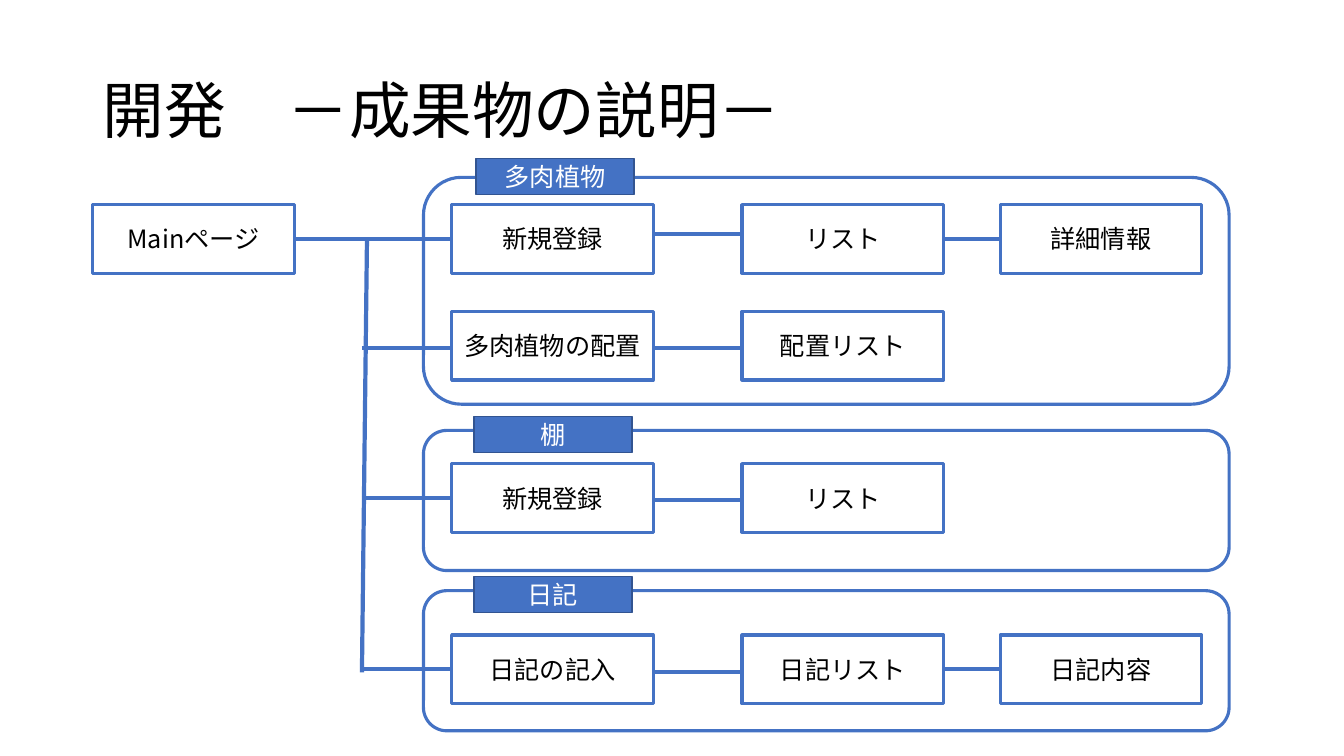
import pptx
import pptx.util
import pptx.dml.color
import pptx.enum.shapes
import pptx.enum.text
import pptx.oxml.ns
import lxml.etree

RGB = pptx.dml.color.RGBColor
SHAPE = pptx.enum.shapes.MSO_SHAPE
ALIGN = pptx.enum.text.PP_ALIGN
BLACK = RGB(0x00, 0x00, 0x00)
WHITE = RGB(0xFF, 0xFF, 0xFF)
BLUE = RGB(0x44, 0x72, 0xC4)
NAVY = RGB(0x32, 0x54, 0x91)
LEFT, RIGHT = 1, 3


def px(n):
    """Turn px (100 to the inch) into EMU."""
    return pptx.util.Emu(n * 9144)


class Diagram:
    font = "Noto Sans CJK JP"
    text_size = 18
    box_w, box_h = 200, 68
    tag_w, tag_h = 157, 36

    def __init__(self, slide):
        self.shapes = slide.shapes

    def set_text(self, sp, text, size, color, align):
        tf = sp.text_frame
        for name, value in {"word_wrap": True,
                            "vertical_anchor": pptx.enum.text.MSO_ANCHOR.MIDDLE}.items():
            setattr(tf, name, value)
        p = tf.paragraphs[0]
        p.alignment = align
        r = p.add_run()
        r.text = text
        for name, value in {"name": self.font, "size": pptx.util.Pt(size)}.items():
            setattr(r.font, name, value)
        r.font.color.rgb = color
        ea = lxml.etree.SubElement(r.font._element, pptx.oxml.ns.qn("a:ea"))
        ea.set("typeface", self.font)
        return p

    def title(self, text, x, y, w, h):
        sp = self.shapes.add_textbox(px(x), px(y), px(w), px(h))
        p = self.set_text(sp, text, 44, BLACK, ALIGN.LEFT)
        p.line_spacing = 0.9

    def shape(self, kind, x, y, w, h, fill=WHITE, line=BLUE, width=2.25):
        sp = self.shapes.add_shape(kind, px(x), px(y), px(w), px(h))
        sp.shadow.inherit = False
        sp.fill.solid()
        sp.fill.fore_color.rgb = fill
        sp.line.color.rgb = line
        sp.line.width = pptx.util.Pt(width)
        return sp

    def frame(self, x, y, w, h):
        self.shape(SHAPE.ROUNDED_RECTANGLE, x, y, w, h)

    def box(self, text, x, y):
        sp = self.shape(SHAPE.RECTANGLE, x, y, self.box_w, self.box_h)
        self.set_text(sp, text, self.text_size, BLACK, ALIGN.CENTER)
        return sp

    def tag(self, text, x, y):
        sp = self.shape(SHAPE.RECTANGLE, x, y, self.tag_w, self.tag_h, BLUE, NAVY, 1)
        self.set_text(sp, text, self.text_size, WHITE, ALIGN.CENTER)

    def line(self, x1, y1, x2, y2, begin=None, end=None):
        """Draw a line, joined to the right of begin and the left of end if given."""
        c = self.shapes.add_connector(pptx.enum.shapes.MSO_CONNECTOR.STRAIGHT,
                                      px(x1), px(y1), px(x2), px(y2))
        c.line.color.rgb = BLUE
        c.line.width = pptx.util.Pt(3)
        lxml.etree.SubElement(c._element.spPr, pptx.oxml.ns.qn("a:effectLst"))
        if begin is not None:
            c.begin_connect(begin, RIGHT)
        if end is not None:
            c.end_connect(end, LEFT)


COLUMNS = (448, 736, 992)
MAIN_X, TRUNK_TOP, TRUNK_X = 92, 364, 359
FRAMES = ((586, 139), (427, 139), (176, 225))
TAGS = (("多肉植物", 472, 157), ("棚", 470, 413), ("日記", 470, 572))
# box top, y of the line from the trunk, y of the line to the second box, page names
ROWS = (
    (203, 237, 232, ("新規登録", "リスト", "詳細情報")),
    (309, 345, 345, ("多肉植物の配置", "配置リスト")),
    (460, 494, 496, ("新規登録", "リスト")),
    (630, 664, 667, ("日記の記入", "日記リスト", "日記内容")),
)


def main():
    prs = pptx.Presentation()
    prs.slide_width = pptx.util.Inches(13.33)
    prs.slide_height = pptx.util.Inches(7.5)
    s = prs.slides.add_slide(prs.slide_layouts[6])
    d = Diagram(s)

    d.title("開発　－成果物の説明－", 92, 40, 1150, 145)
    for y, h in FRAMES:
        d.frame(420, y, 799, h)

    main_page = d.box("Mainページ", MAIN_X, ROWS[0][0])
    pages = [[d.box(name, x, top) for name, x in zip(names, COLUMNS)]
             for top, _, _, names in ROWS]

    d.line(TRUNK_TOP, 237, TRUNK_X, 667)
    for i, ((top, branch_y, link_y, _), row) in enumerate(zip(ROWS, pages)):
        middle = top + d.box_h // 2
        d.line(MAIN_X + d.box_w if i == 0 else TRUNK_X, branch_y, COLUMNS[0], branch_y,
               begin=main_page if i == 0 else None,
               end=row[0] if branch_y == middle else None)
        d.line(COLUMNS[0] + d.box_w, link_y, COLUMNS[1], link_y)
        if len(row) == 3:
            d.line(COLUMNS[1] + d.box_w, middle, COLUMNS[2], middle, row[1], row[2])

    for text, x, y in TAGS:
        d.tag(text, x, y)
    prs.save("out.pptx")


if __name__ == "__main__":
    main()
